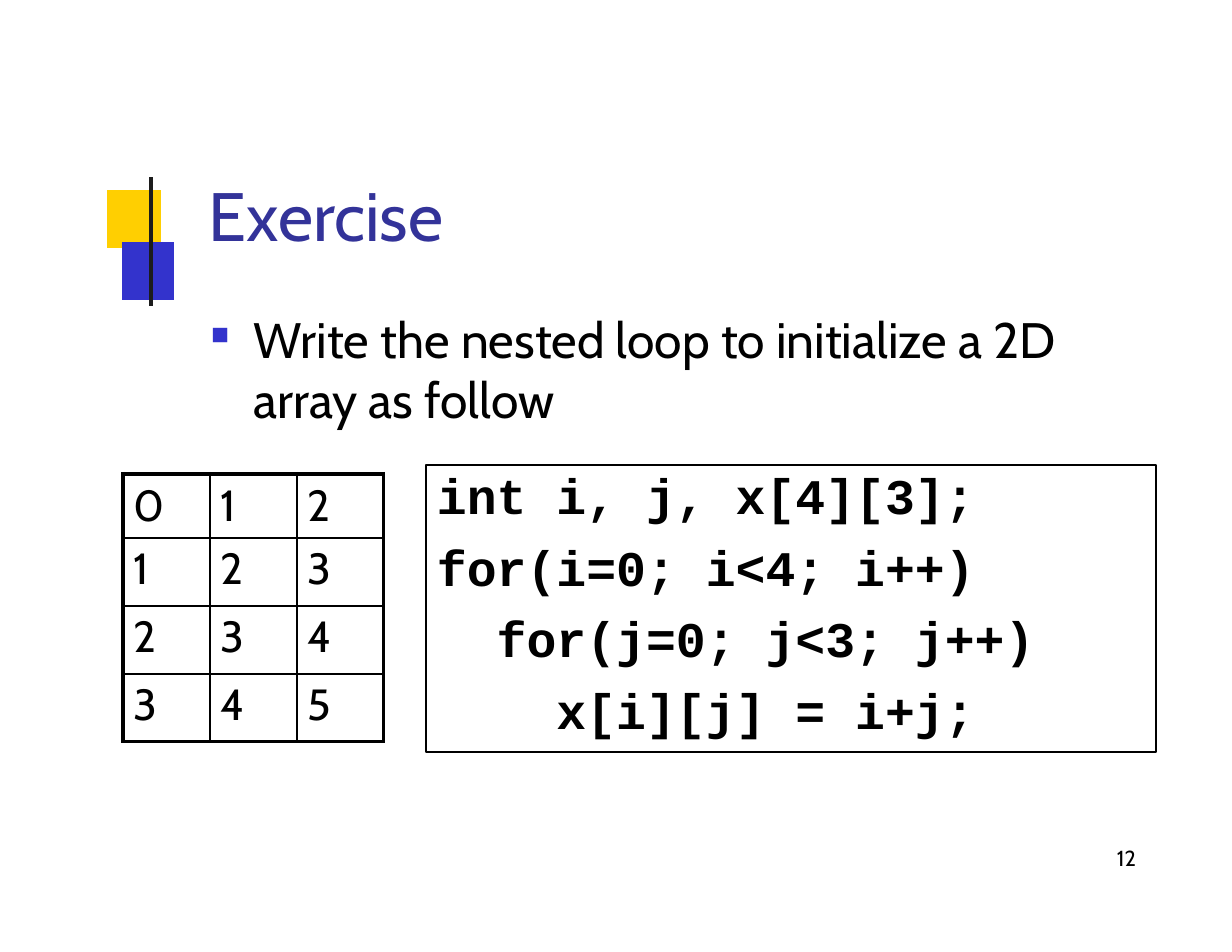
from lxml import etree
from pptx import Presentation
from pptx import util as u
from pptx.dml.color import RGBColor
from pptx.enum import shapes, text
from pptx.oxml.ns import qn

PX = 914400 // 112
COLORS = {
    "yellow": "FFCF01",
    "blue": "3333CC",
    "bar": "1C1C1C",
    "title": "333399",
    "ink": "000000",
}
BODY_FONT = "Cabin"
CODE_FONT = "Courier New"
COLUMN_WIDTHS = [87, 87, 87]
ROW_HEIGHTS = [64, 68, 68, 68]
ROW_RULES = [3, 1, 1, 1.5, 2.25]
COLUMN_RULES = [2.25, 1, 1, 2.25]
CODE = [
    "int i, j, x[4][3];",
    "for(i=0; i<4; i++)",
    "  for(j=0; j<3; j++)",
    "    x[i][j] = i+j;",
]


def px(*lengths):
    return [u.Emu(length * PX) for length in lengths]


def color(name):
    return RGBColor.from_string(COLORS[name])


def apply(target, values):
    for name, value in values.items():
        setattr(target, name, value)


def set_margins(target, left=0, top=0):
    margins = {"margin_left": left, "margin_top": top, "margin_right": 0, "margin_bottom": 0}
    apply(target, {name: u.Emu(value * PX) for name, value in margins.items()})


def add_block(page, place, fill):
    block = page.shapes.add_shape(shapes.MSO_SHAPE.RECTANGLE, *px(*place))
    block.shadow.inherit = False
    block.fill.solid()
    block.fill.fore_color.rgb = color(fill)
    block.line.fill.background()


def write(frame, lines, size, ink="ink", font=BODY_FONT, bold=False, gap=0):
    for index, line in enumerate(lines):
        para = frame.add_paragraph() if index else frame.paragraphs[0]
        para.alignment = text.PP_ALIGN.LEFT
        if index:
            para.space_before = u.Pt(gap)
        span = para.add_run()
        span.text = line
        apply(span.font, {"name": font, "size": u.Pt(size), "bold": bold})
        span.font.color.rgb = color(ink)


def add_text(page, place, lines, size, left=0, top=0, **style):
    box = page.shapes.add_textbox(*px(*place))
    frame = box.text_frame
    frame.word_wrap = True
    set_margins(frame, left, top)
    write(frame, lines, size, **style)
    return box


def add_bullet(para, hang):
    props = para._p.get_or_add_pPr()
    props.set("marL", str(hang * PX))
    props.set("indent", str(-hang * PX))
    tint = etree.SubElement(props, qn("a:buClr"))
    etree.SubElement(tint, qn("a:srgbClr"), val=COLORS["blue"])
    etree.SubElement(props, qn("a:buSzPct"), val="50000")
    etree.SubElement(props, qn("a:buChar"), char="■")


def set_borders(cell, widths):
    props = cell._tc.get_or_add_tcPr()
    for side, width in zip("LRTB", widths):
        line = etree.SubElement(props, qn(f"a:ln{side}"), w=str(u.Pt(width)))
        fill = etree.SubElement(line, qn("a:solidFill"))
        etree.SubElement(fill, qn("a:srgbClr"), val=COLORS["ink"])


def add_array_table(page, left, top):
    size = sum(COLUMN_WIDTHS), sum(ROW_HEIGHTS)
    frame = page.shapes.add_table(
        len(ROW_HEIGHTS), len(COLUMN_WIDTHS), *px(left, top, *size)
    )
    table = frame.table
    apply(table, {"first_row": False, "horz_banding": False})
    for column, width in zip(table.columns, px(*COLUMN_WIDTHS)):
        column.width = width
    for row, height in zip(table.rows, px(*ROW_HEIGHTS)):
        row.height = height
    for i, row in enumerate(table.rows):
        for j, cell in enumerate(row.cells):
            set_margins(cell, left=11, top=5)
            set_borders(cell, COLUMN_RULES[j:j + 2] + ROW_RULES[i:i + 2])
            cell.fill.background()
            write(cell.text_frame, [str(i + j)], 28)


def main():
    deck = Presentation()
    deck.slide_width, deck.slide_height = px(1232, 952)
    page = deck.slides.add_slide(deck.slide_layouts[6])

    add_block(page, (107, 190, 54, 58), "yellow")
    add_block(page, (122, 242, 52, 58), "blue")
    add_block(page, (149, 177, 4, 129), "bar")

    add_text(page, (204, 90, 814, 168), ["Exercise"], 44, left=5, top=84, ink="title")
    add_text(page, (1112, 843, 35, 29), ["12"], 14, left=5, top=2)
    add_array_table(page, 123, 474)

    task = add_text(
        page, (211, 307, 889, 123),
        ["Write the nested loop to initialize a 2D array as follow"], 32, top=2,
    )
    add_bullet(task.text_frame.paragraphs[0], 43)

    code = add_text(
        page, (426, 465, 730, 287), CODE, 32,
        left=11, font=CODE_FONT, bold=True, gap=7.5,
    )
    code.line.color.rgb = color("ink")
    code.line.width = u.Pt(0.72)

    deck.save("out.pptx")


if __name__ == "__main__":
    main()
